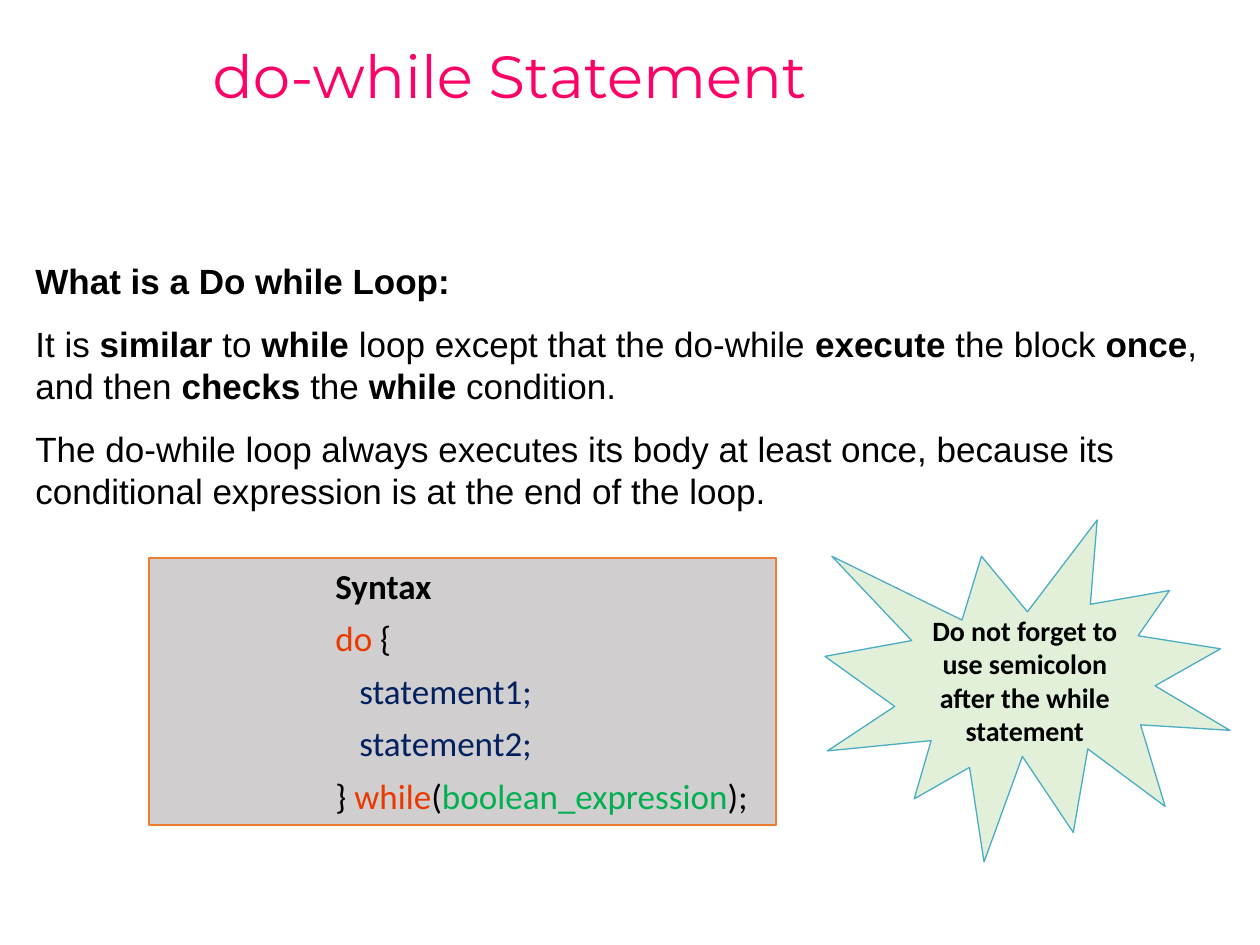
from dataclasses import dataclass

from pptx import Presentation
from pptx.dml.color import RGBColor
from pptx.enum.shapes import MSO_SHAPE
from pptx.enum.text import MSO_ANCHOR, MSO_AUTO_SIZE, PP_ALIGN
from pptx.util import Emu, Pt

RECTANGLE, BURST = MSO_SHAPE.RECTANGLE, MSO_SHAPE.EXPLOSION1
TOP, MIDDLE = MSO_ANCHOR.TOP, MSO_ANCHOR.MIDDLE
LEFT, CENTER = PP_ALIGN.LEFT, PP_ALIGN.CENTER
FIXED, GROW = MSO_AUTO_SIZE.NONE, MSO_AUTO_SIZE.SHAPE_TO_FIT_TEXT
PX = 914400 / 126
TITLE_ONLY = 5


@dataclass(frozen=True)
class Theme:
    """Fonts, type sizes in points and colours of the slide."""
    title_font: str = "Montserrat"
    body_font: str = "Arial"
    code_font: str = "Calibri"
    title_size: int = 34
    body_size: int = 20
    note_size: int = 16
    title: str = "FF0066"
    text: str = "000000"
    keyword: str = "EA3800"
    statement: str = "002060"
    condition: str = "00B050"
    code_fill: str = "D0CECE"
    code_line: str = "ED7D31"
    note_fill: str = "E2F0D9"
    note_line: str = "4BACC6"


THEME = Theme()

EXPLANATION = [
    [("What is a Do while Loop:", True)],
    [("It is ", False), ("similar", True), (" to ", False), ("while", True),
     (" loop except that the do-while ", False), ("execute", True),
     (" the block ", False), ("once", True), (", and then ", False),
     ("checks", True), (" the ", False), ("while", True), (" condition.", False)],
    [("The do-while loop always executes its body at least once, because its "
      "conditional expression is at the end of the loop.", False)],
]

SYNTAX = [
    (0, True, [("Syntax", THEME.text)]),
    (0, False, [("do ", THEME.keyword), ("{", THEME.text)]),
    (1, False, [("statement1;", THEME.statement)]),
    (1, False, [("statement2;", THEME.statement)]),
    (0, False, [("} ", THEME.text), ("while", THEME.keyword), ("(", THEME.text),
                ("boolean_expression", THEME.condition), (");", THEME.text)]),
]


def px(value):
    """Turn px into EMU."""
    return Emu(round(value * PX))


def style(paragraph, font_name, size, color=None, bold=None):
    """Set the font shared by all runs of a paragraph."""
    font = paragraph.font
    font.name, font.size, font.bold = font_name, Pt(size), bold
    if color:
        font.color.rgb = RGBColor.from_string(color)


def paragraphs_for(frame, items):
    """Yield a paragraph of the frame with each item."""
    for index, item in enumerate(items):
        yield (frame.add_paragraph() if index else frame.paragraphs[0]), item


def add_panel(slide, kind, box, fill, line):
    """Add a filled and outlined shape and return its text frame."""
    shape = slide.shapes.add_shape(kind, *map(px, box))
    shape.shadow.inherit = False
    shape.fill.solid()
    shape.fill.fore_color.rgb = RGBColor.from_string(fill)
    shape.line.color.rgb = RGBColor.from_string(line)
    shape.line.width = Pt(0.75)
    shape.text_frame.word_wrap = True
    return shape.text_frame


def place_title(slide, box, text):
    """Move and format the title placeholder."""
    title = slide.shapes.title
    title.left, title.top, title.width, title.height = map(px, box)
    frame = title.text_frame
    frame.text = text
    frame.auto_size, frame.vertical_anchor = FIXED, MIDDLE
    paragraph = frame.paragraphs[0]
    paragraph.alignment, paragraph.line_spacing = LEFT, 0.9
    style(paragraph, THEME.title_font, THEME.title_size, THEME.title)


def add_explanation(slide, box, items):
    """Add the explaining paragraphs with their bold words."""
    frame = slide.shapes.add_textbox(*map(px, box)).text_frame
    frame.word_wrap, frame.auto_size = True, GROW
    for paragraph, runs in paragraphs_for(frame, items):
        paragraph.space_before = Pt(12)
        style(paragraph, THEME.body_font, THEME.body_size, THEME.text)
        for text, bold in runs:
            run = paragraph.add_run()
            run.text, run.font.bold = text, bold


def add_syntax(slide, box, items):
    """Add the code panel with coloured and indented lines."""
    frame = add_panel(slide, RECTANGLE, box, THEME.code_fill, THEME.code_line)
    frame.auto_size, frame.vertical_anchor = GROW, TOP
    for paragraph, (level, bold, runs) in paragraphs_for(frame, items):
        paragraph.alignment, paragraph.space_before = LEFT, Pt(6)
        properties = paragraph._p.get_or_add_pPr()
        properties.set("marL", str(px(174 + 24 * level)))
        properties.set("indent", "0")
        style(paragraph, THEME.code_font, THEME.body_size, bold=bold)
        for text, color in runs:
            run = paragraph.add_run()
            run.text = text
            run.font.color.rgb = RGBColor.from_string(color)


def add_reminder(slide, box, text):
    """Add the burst with its centred reminder."""
    frame = add_panel(slide, BURST, box, THEME.note_fill, THEME.note_line)
    frame.text, frame.vertical_anchor = text, MIDDLE
    paragraph = frame.paragraphs[0]
    paragraph.alignment = CENTER
    style(paragraph, THEME.code_font, THEME.note_size, THEME.text, True)


def main():
    """Build and save the slide."""
    presentation = Presentation()
    presentation.slide_width, presentation.slide_height = px(1260), px(945)
    slide = presentation.slides.add_slide(presentation.slide_layouts[TITLE_ONLY])
    place_title(slide, (200, 1, 1060, 156), "do-while Statement")
    add_explanation(slide, (23, 253, 1207, 267), EXPLANATION)
    add_syntax(slide, (149, 558, 627, 267), SYNTAX)
    add_reminder(slide, (825, 520, 405, 342),
                 "Do not forget to use semicolon after the while statement")
    presentation.save("out.pptx")


if __name__ == "__main__":
    main()
